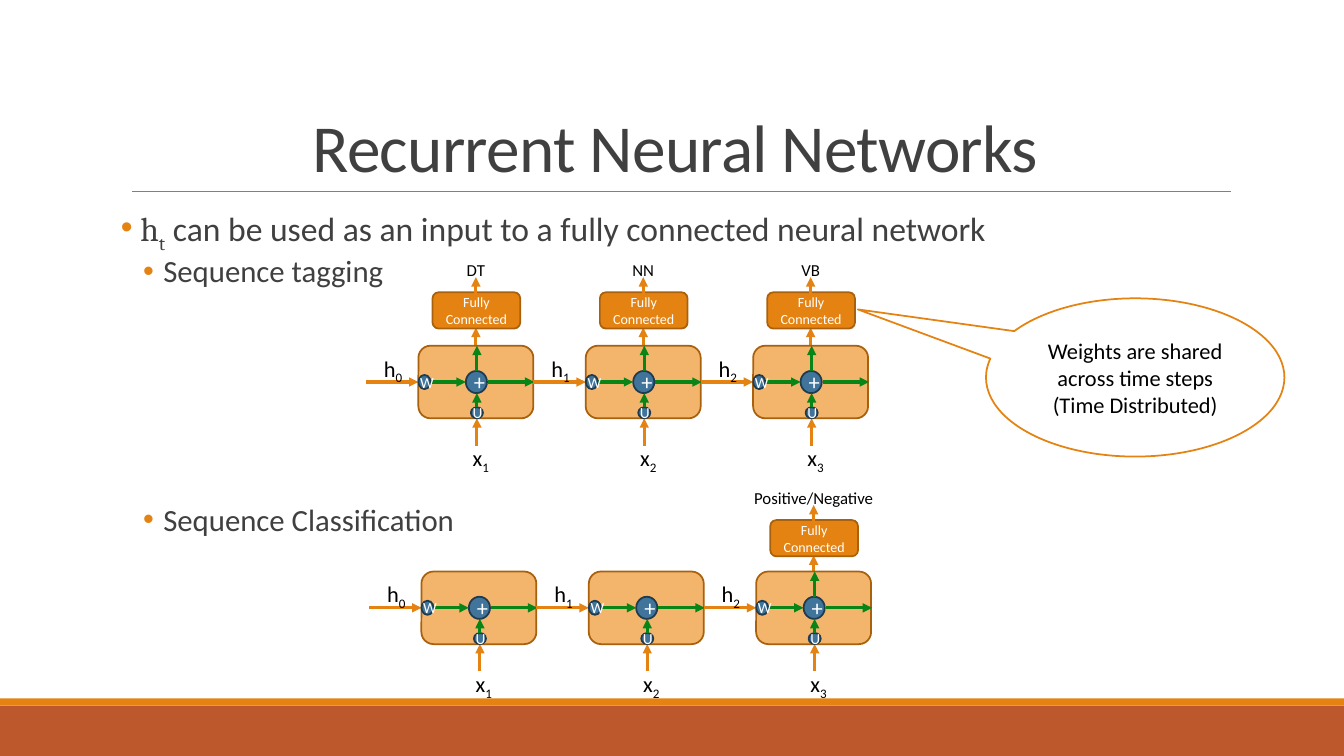
from dataclasses import dataclass

from lxml.etree import SubElement
from pptx import Presentation
from pptx.dml.color import RGBColor
from pptx.enum.shapes import MSO_CONNECTOR, MSO_SHAPE
from pptx.enum.text import MSO_ANCHOR, MSO_AUTO_SIZE, PP_ALIGN
from pptx.oxml.ns import qn
from pptx.util import Inches, Pt


@dataclass(frozen=True)
class Theme:
    font: str = "Calibri"
    math_font: str = "Cambria"
    white: str = "FFFFFF"
    black: str = "000000"
    heading: str = "404040"
    rule: str = "808080"
    band: str = "BD582C"
    orange: str = "E48312"
    orange_edge: str = "A9610D"
    cell: str = "F3B56C"
    blue: str = "40749B"
    blue_edge: str = "203A4E"
    green: str = "098518"
    title_size: float = 48
    body_size: float = 24
    item_size: float = 22
    label_size: float = 16
    tag_size: float = 12
    weight_size: float = 11
    layer_size: float = 10
    edge_width: float = 1.25
    arrow_width: float = 2.25


THEME = Theme()
CELL_LEFT, CELL_PITCH, CELL_WIDTH, CELL_HEIGHT = 4.15, 1.66, 1.14, 0.72
CENTER, MIDDLE = 0.58, 0.36


def write(para, text, size=THEME.label_size, color=THEME.black,
          font=THEME.font, baseline=0, spacing=0):
    span = para.add_run()
    span.text = text
    span.font.size = Pt(size)
    span.font.name = font
    span.font.color.rgb = RGBColor.from_string(color)
    properties = span._r.get_or_add_rPr()
    if baseline:
        properties.set("baseline", str(baseline * 1000))
    if spacing:
        properties.set("spc", str(round(spacing * 100)))


def place(shape, left, top, width, height):
    shape.left, shape.top = Inches(left), Inches(top)
    shape.width, shape.height = Inches(width), Inches(height)


def add_box(page, kind, left, top, width, height, fill, edge=None,
            lines=(), **text_format):
    box = page.shapes.add_shape(kind, Inches(left), Inches(top), Inches(width), Inches(height))
    box.shadow.inherit = False
    box.fill.solid()
    box.fill.fore_color.rgb = RGBColor.from_string(fill)
    if edge:
        box.line.color.rgb = RGBColor.from_string(edge)
        box.line.width = Pt(THEME.edge_width)
    else:
        box.line.fill.background()
    frame = box.text_frame
    frame.vertical_anchor = MSO_ANCHOR.MIDDLE
    for index, text in enumerate(lines):
        para = frame.add_paragraph() if index else frame.paragraphs[0]
        para.alignment = PP_ALIGN.CENTER
        write(para, text, **text_format)
    return box


def add_line(page, start, end, color, width=THEME.arrow_width, arrow=True):
    line = page.shapes.add_connector(MSO_CONNECTOR.STRAIGHT, *map(Inches, start + end))
    line.line.color.rgb = RGBColor.from_string(color)
    line.line.width = Pt(width)
    if arrow:
        SubElement(line.line._get_or_add_ln(), qn("a:tailEnd"), type="triangle")
    SubElement(line._element.spPr, qn("a:effectLst"))


def add_label(page, left, top, width, height, text, subscript="", centered=False,
              size=THEME.label_size):
    box = page.shapes.add_textbox(Inches(left), Inches(top), Inches(width), Inches(height))
    box.text_frame.word_wrap = not centered
    para = box.text_frame.paragraphs[0]
    if centered:
        para.alignment = PP_ALIGN.CENTER
    write(para, text, size=size)
    if subscript:
        write(para, subscript, size=size, baseline=-25)


def add_bullet(para, level, margin, indent, before, after):
    para.level = level
    para.line_spacing = 0.9
    para.space_before, para.space_after = Pt(before), Pt(after)
    properties = para._p.get_or_add_pPr()
    properties.set("marL", str(Inches(margin)))
    properties.set("indent", str(Inches(indent)))
    bullet_color = SubElement(properties, qn("a:buClr"))
    SubElement(bullet_color, qn("a:srgbClr"), val=THEME.orange)
    SubElement(properties, qn("a:buChar"), char="•")


def add_title(page):
    title = page.shapes.title
    place(title, 1.2, 0.31, 11, 1.59)
    frame = title.text_frame
    frame.auto_size = MSO_AUTO_SIZE.NONE
    frame.vertical_anchor = MSO_ANCHOR.BOTTOM
    para = frame.paragraphs[0]
    para.alignment = PP_ALIGN.CENTER
    para.line_spacing = 0.85
    write(para, "Recurrent Neural Networks", size=THEME.title_size,
          color=THEME.heading, spacing=-0.5)


def add_body(page):
    body = page.placeholders[1]
    place(body, 1.2, 2.02, 11, 4.4)
    frame = body.text_frame
    frame.auto_size = MSO_AUTO_SIZE.NONE
    frame.vertical_anchor = MSO_ANCHOR.TOP
    frame.margin_left = frame.margin_right = 0
    para = frame.paragraphs[0]
    add_bullet(para, 0, 0.1, -0.1, 12, 2)
    main_format = {"size": THEME.body_size, "color": THEME.heading}
    write(para, " ", **main_format)
    write(para, "h", font=THEME.math_font, **main_format)
    write(para, "t", font=THEME.math_font, baseline=-25, **main_format)
    write(para, " can be used as an input to a fully connected neural network", **main_format)
    for text, before in (("Sequence tagging", 2), ("Sequence Classification", 150)):
        para = frame.add_paragraph()
        add_bullet(para, 1, 0.42, -0.2, before, 4)
        write(para, text, size=THEME.item_size, color=THEME.heading)


def add_node(page, left, top, width, height, text, size):
    add_box(page, MSO_SHAPE.OVAL, left, top, width, height, THEME.blue,
            THEME.blue_edge, [text], size=size, color=THEME.white)


def add_cell(page, left, top, step, has_output):
    center, middle = left + CENTER, top + MIDDLE
    add_box(page, MSO_SHAPE.ROUNDED_RECTANGLE, left, top, CELL_WIDTH, CELL_HEIGHT,
            THEME.cell, THEME.orange_edge)
    add_line(page, (left - 0.52, middle), (left, middle), THEME.orange)
    add_line(page, (center, top + 0.99), (center, top + CELL_HEIGHT), THEME.orange)
    add_label(page, left - 0.44, top + 0.04, 0.45, 0.27, "h", str(step))
    add_label(page, left + 0.44, top + 0.93, 0.42, 0.27, "x", str(step + 1))
    add_node(page, center - 0.11, middle - 0.11, 0.21, 0.22, "+", THEME.label_size)
    add_line(page, (left + 0.12, middle), (center - 0.11, middle), THEME.green)
    add_node(page, left, middle - 0.07, 0.12, 0.14, "W", THEME.weight_size)
    add_node(page, center - 0.06, top + 0.61, 0.12, 0.11, "U", THEME.weight_size)
    add_line(page, (center + 0.11, middle), (left + 1.15, middle), THEME.green)
    add_line(page, (center, top + 0.61), (center, middle + 0.11), THEME.green)
    if has_output:
        add_line(page, (center, middle - 0.11), (center, top), THEME.green)


def add_output_layer(page, left, top, tag, tag_width):
    center = left + 0.57
    add_line(page, (center, top), (center, top - 0.18), THEME.orange)
    add_box(page, MSO_SHAPE.ROUNDED_RECTANGLE, left + 0.14, top - 0.53, 0.87, 0.36,
            THEME.orange, THEME.orange_edge, ["Fully Connected"],
            size=THEME.layer_size, color=THEME.white)
    add_line(page, (center, top - 0.5), (center, top - 0.68), THEME.orange)
    add_label(page, center - tag_width / 2, top - 0.9, tag_width, 0.3, tag,
              centered=True, size=THEME.tag_size)


def add_network(page, left, top, tags, output_top, tag_width):
    for step, tag in enumerate(tags):
        cell_left = left + step * CELL_PITCH
        if tag:
            add_output_layer(page, cell_left, output_top, tag, tag_width)
        add_cell(page, cell_left, top, step, bool(tag))


def main():
    deck = Presentation()
    deck.slide_width, deck.slide_height = Inches(13.33), Inches(7.5)
    page = deck.slides.add_slide(deck.slide_layouts[1])
    add_box(page, MSO_SHAPE.RECTANGLE, 0, 7, 13.33, 0.5, THEME.band)
    add_box(page, MSO_SHAPE.RECTANGLE, 0, 6.93, 13.33, 0.07, THEME.orange)
    add_line(page, (1.31, 1.9), (12.21, 1.9), THEME.rule, width=0.5, arrow=False)
    add_title(page)
    add_body(page)
    add_network(page, CELL_LEFT, 3.43, ("DT", "NN", "VB"), 3.43, 0.5)
    add_network(page, CELL_LEFT + 0.03, 5.67, ("", "", "Positive/Negative"), 5.69, 1.5)
    callout = add_box(page, MSO_SHAPE.OVAL_CALLOUT, 9.78, 2.96, 2.96, 1.57,
                      THEME.white, THEME.orange,
                      ["Weights are shared across time steps", "(Time Distributed)"])
    callout.adjustments[0], callout.adjustments[1] = -0.93, -0.43
    deck.save("out.pptx")


if __name__ == "__main__":
    main()
